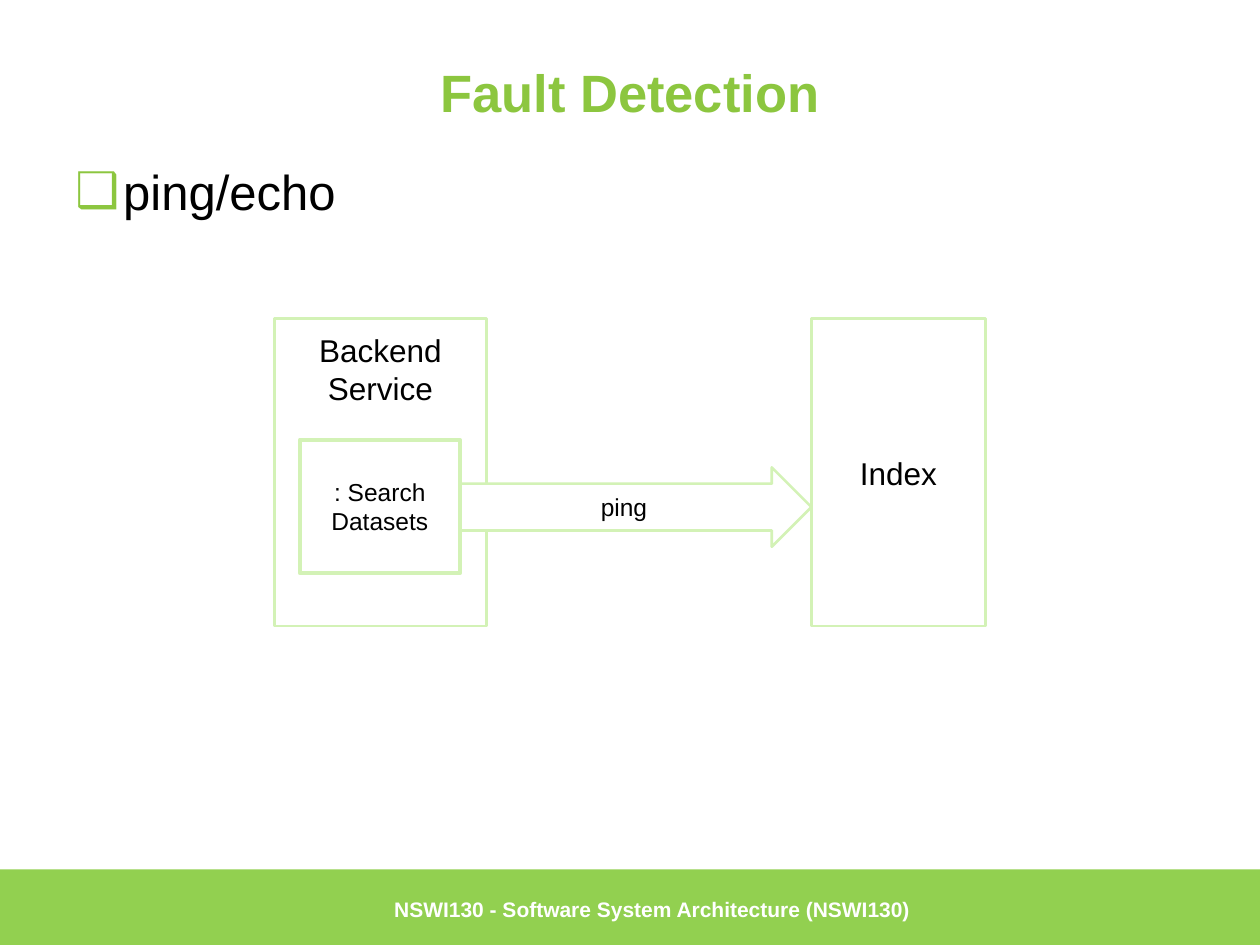
from lxml import etree
from pptx import Presentation, util as u
from pptx.dml.color import RGBColor
from pptx.enum import shapes, text
from pptx.oxml import ns

TITLE_GREEN = RGBColor(0x8C, 0xC6, 0x3F)
BAND_GREEN = RGBColor(0x92, 0xD0, 0x50)
OUTLINE_GREEN = RGBColor(0xD3, 0xF2, 0xB6)
WHITE = RGBColor(0xFF, 0xFF, 0xFF)
BLACK = RGBColor(0, 0, 0)

deck = Presentation()
deck.slide_width, deck.slide_height = u.Inches(10), u.Inches(7.5)
COL, ROW = deck.slide_width / 100, deck.slide_height / 75
slide = deck.slides.add_slide(deck.slide_layouts[5])


def cells(left, top, width, height):
    return round(left * COL), round(top * ROW), round(width * COL), round(height * ROW)


def write(part, words, size, color, bold=False, align=text.PP_ALIGN.CENTER,
          anchor=text.MSO_ANCHOR.MIDDLE, pad=0.05):
    frame = part.text_frame
    frame.text = words
    frame.word_wrap = True
    frame.auto_size = text.MSO_AUTO_SIZE.NONE
    frame.vertical_anchor = anchor
    frame.margin_left = frame.margin_right = u.Inches(0.1)
    frame.margin_top = frame.margin_bottom = u.Inches(pad)
    line = frame.paragraphs[0]
    line.alignment = align
    font = line.runs[0].font
    font.name, font.size, font.bold = "Arial", u.Pt(size), bold
    font.color.rgb = color
    return line


band = slide.shapes.add_shape(shapes.MSO_SHAPE.RECTANGLE, *cells(0, 69, 100, 6.3))
band.shadow.inherit = False
band.fill.solid()
band.fill.fore_color.rgb = BAND_GREEN
band.line.fill.background()

heading = slide.shapes.title
heading.left, heading.top, heading.width, heading.height = cells(5, 3, 90, 8.5)
write(heading, "Fault Detection", 30, TITLE_GREEN, bold=True)

tactic = slide.shapes.add_textbox(*cells(5, 12.3, 90, 9.2))
tactic_line = write(tactic, "ping/echo", 28, BLACK, align=text.PP_ALIGN.LEFT,
                    anchor=text.MSO_ANCHOR.TOP)
indent = u.Inches(0.38)
bullet = tactic_line._p.get_or_add_pPr()
bullet.set("marL", str(indent))
bullet.set("indent", str(-indent))
bullet_color = etree.SubElement(bullet, ns.qn("a:buClr"))
etree.SubElement(bullet_color, ns.qn("a:srgbClr")).set("val", str(TITLE_GREEN))
etree.SubElement(bullet, ns.qn("a:buFont")).set("typeface", "Arial")
etree.SubElement(bullet, ns.qn("a:buChar")).set("char", "❑")

course = slide.shapes.add_textbox(*cells(30.3, 69, 60.2, 6.3))
write(course, "NSWI130 - Software System Architecture (NSWI130)", 12, WHITE,
      bold=True, align=text.PP_ALIGN.LEFT)

RECT, ARROW = shapes.MSO_SHAPE.RECTANGLE, shapes.MSO_SHAPE.RIGHT_ARROW
TOP, MIDDLE = text.MSO_ANCHOR.TOP, text.MSO_ANCHOR.MIDDLE
diagram = [
    (RECT, "Backend Service", (21.8, 25.3, 16.8, 24.4), 18, 1.5, TOP),
    (RECT, "Index", (64.4, 25.3, 13.8, 24.4), 18, 1.5, MIDDLE),
    (ARROW, "ping", (36.5, 37.1, 27.9, 6.3), 14, 1.5, MIDDLE),
    (RECT, ": Search Datasets", (23.8, 34.9, 12.7, 10.6), 14, 2.25, MIDDLE),
]
for kind, words, place, size, weight, anchor in diagram:
    node = slide.shapes.add_shape(kind, *cells(*place))
    node.shadow.inherit = False
    node.line.color.rgb = OUTLINE_GREEN
    node.line.width = u.Pt(weight)
    if kind == ARROW:
        node.adjustments[0], node.adjustments[1] = 0.59, 0.5
        node.fill.solid()
        node.fill.fore_color.rgb = WHITE
    else:
        node.fill.background()
    write(node, words, size, BLACK, anchor=anchor, pad=0.1)

deck.save("out.pptx")
